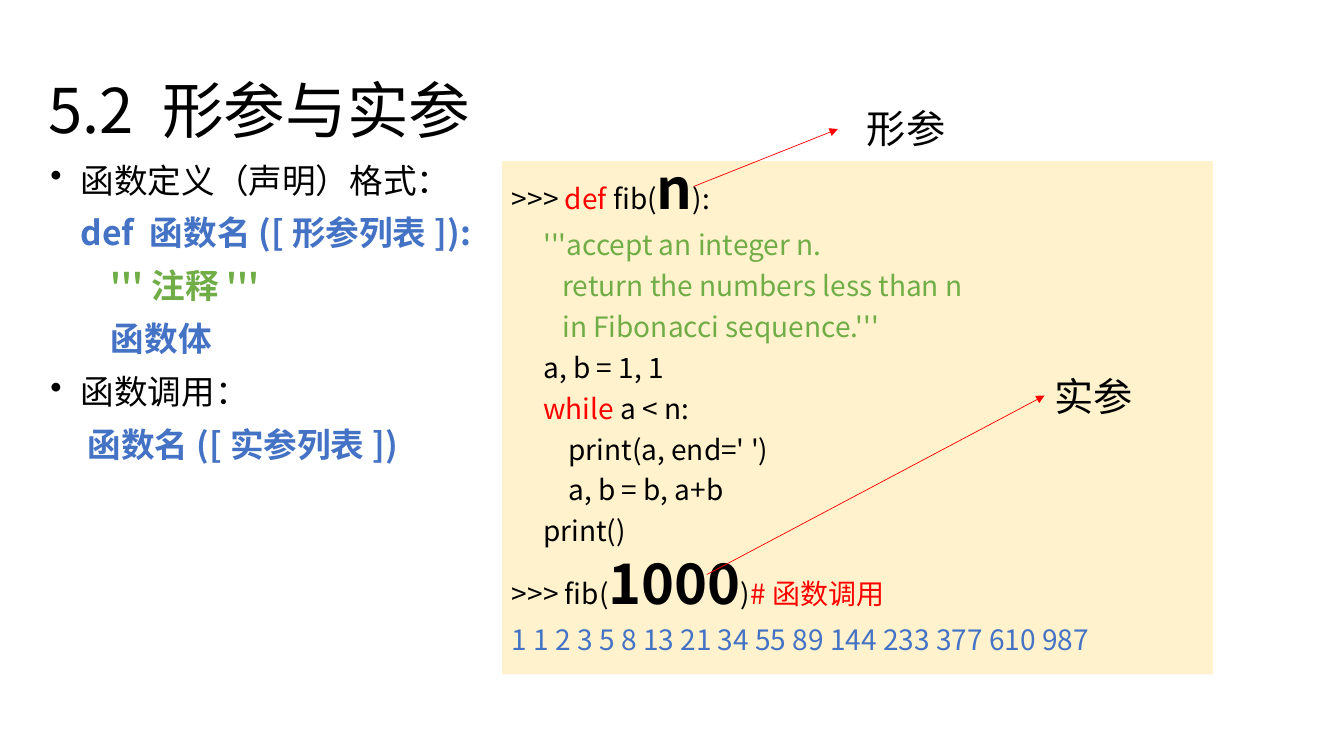
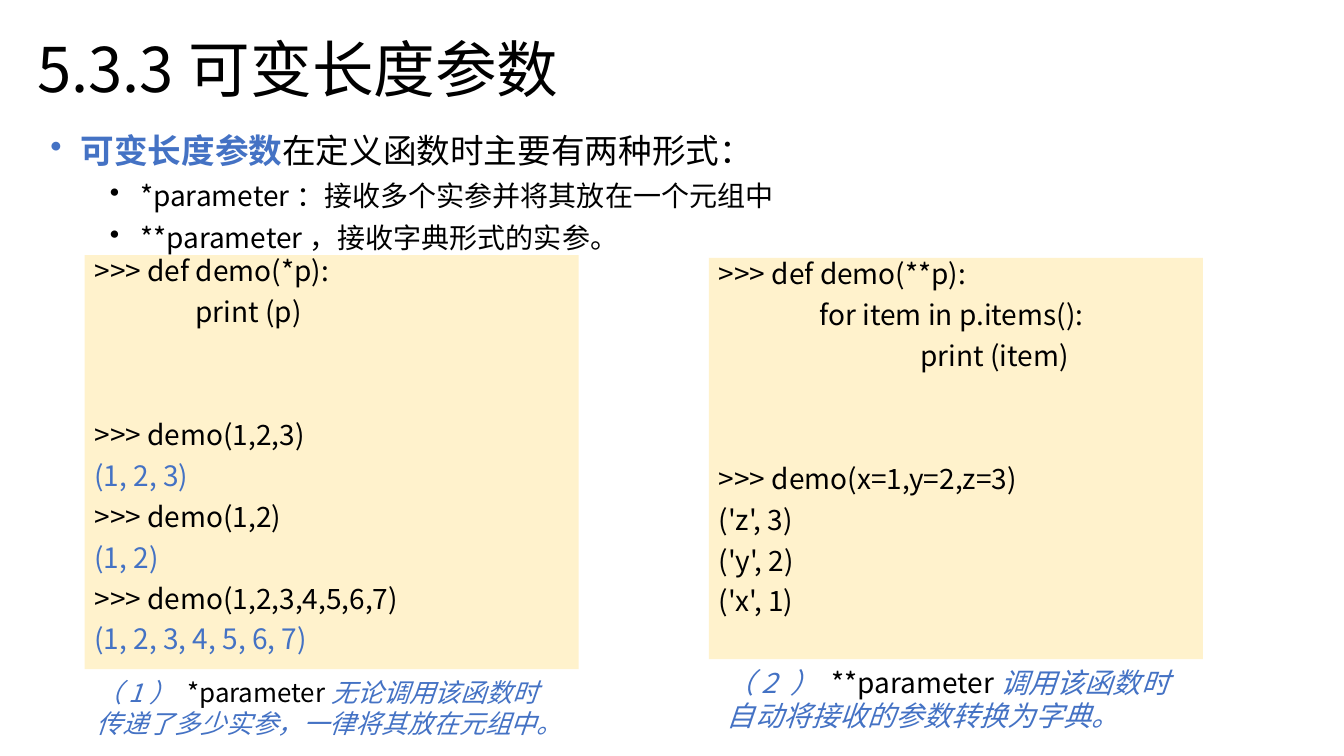
import pptx
import pptx.util
import pptx.dml.color
import pptx.enum.shapes
import pptx.enum.text
import pptx.oxml.ns
import lxml.etree

FONT = "Noto Sans CJK SC"
BLACK, RED, GREEN, BLUE, CREAM = "000000", "FF0000", "70AD47", "4472C4", "FFF2CC"
Inches, Pt = pptx.util.Inches, pptx.util.Pt
TOP = pptx.enum.text.MSO_ANCHOR.TOP
MIDDLE = pptx.enum.text.MSO_ANCHOR.MIDDLE

presentation = pptx.Presentation()
presentation.slide_width = Inches(13.33)
presentation.slide_height = Inches(7.5)
ACROSS = presentation.slide_width / 100
DOWN = presentation.slide_height / 100

wide_margins = {
    "word_wrap": True, "vertical_anchor": TOP,
    "margin_left": Inches(0.12), "margin_right": Inches(0.12),
    "margin_top": Inches(0.06), "margin_bottom": Inches(0.06),
}
KINDS = {
    "title": {
        "frame": {"word_wrap": True, "vertical_anchor": MIDDLE},
        "paragraph": {"line_spacing": 0.9},
        "font": {"size": Pt(44)},
    },
    "list": {
        "frame": wide_margins,
        "paragraph": {"space_before": Pt(11.9)},
        "font": {"size": Pt(24)},
    },
    "code": {
        "frame": {"word_wrap": True, "vertical_anchor": TOP},
        "paragraph": {"line_spacing": 0.8, "space_before": Pt(10),
                      "alignment": pptx.enum.text.PP_ALIGN.LEFT},
        "font": {"size": Pt(20)},
    },
    "caption": {
        "frame": wide_margins,
        "paragraph": {"space_before": Pt(11.9)},
        "font": {"size": Pt(20)},
    },
    "label": {
        "frame": {"word_wrap": False},
        "paragraph": {},
        "font": {"size": Pt(28)},
    },
}
RUNS = {
    "plain": (BLACK, {}),
    "keyword": (RED, {}),
    "comment": (GREEN, {}),
    "output": (BLUE, {}),
    "syntax": (BLUE, {"bold": True}),
    "remark": (GREEN, {"bold": True}),
    "argument": (BLACK, {"size": Pt(40), "bold": True}),
    "note": (BLUE, {"italic": True}),
    "small note": (BLUE, {"italic": True, "size": Pt(18.5)}),
    "small": (BLACK, {"size": Pt(18.5)}),
    "item": (BLACK, {"size": Pt(20)}),
}


def color(value):
    return pptx.dml.color.RGBColor.from_string(value)


def add_text(slide, kind, shares, paragraphs):
    left, top, width, height = shares
    box = [int(length) for length in
           (left * ACROSS, top * DOWN, width * ACROSS, height * DOWN)]
    if kind == "code":
        shape = slide.shapes.add_shape(pptx.enum.shapes.MSO_SHAPE.RECTANGLE, *box)
        shape.shadow.inherit = False
        shape.fill.solid()
        shape.fill.fore_color.rgb = color(CREAM)
        shape.line.fill.background()
    else:
        shape = slide.shapes.add_textbox(*box)
    frame = shape.text_frame
    for name, value in KINDS[kind]["frame"].items():
        setattr(frame, name, value)
    for index, (layout, runs) in enumerate(paragraphs):
        paragraph = frame.add_paragraph() if index else frame.paragraphs[0]
        settings = {**KINDS[kind]["paragraph"], **layout.get("format", {})}
        for name, value in settings.items():
            setattr(paragraph, name, value)
        properties = paragraph._p.get_or_add_pPr()
        properties.set("marL", str(Inches(layout.get("indent", 0))))
        properties.set("indent", "0")
        if layout.get("bullet"):
            properties.set("indent", str(-Inches(0.3)))
            bullet = lxml.etree.SubElement(properties, pptx.oxml.ns.qn("a:buChar"))
            bullet.set("char", "•")
        for text, style in runs:
            run = paragraph.add_run()
            run.text = text
            run_color, font_format = RUNS[style]
            settings = {"name": FONT, **KINDS[kind]["font"], **font_format}
            for name, value in settings.items():
                setattr(run.font, name, value)
            run.font.color.rgb = color(run_color)
            east_asian = lxml.etree.SubElement(
                run.font._element, pptx.oxml.ns.qn("a:ea"))
            east_asian.set("typeface", FONT)
    return shape


tight = {"line_spacing": 0.8}
normal = {"line_spacing": 0.9}
after_gap = {"format": {"space_before": Pt(68.6)}}
sub_item = {"bullet": True, "indent": 0.89,
            "format": {"level": 1, "space_before": Pt(6)}}
BODY, NESTED = 0.31, 0.56

contents = [
    [
        ("title", (2.85, 5.33, 86.27, 19.33), [({}, [("5.2 形参与实参", "plain")])]),
        ("list", (2.85, 21.33, 36.9, 78.67), [
            ({"bullet": True, "indent": 0.3, "format": tight},
             [("函数定义（声明）格式：", "plain")]),
            ({"indent": 0.3, "format": normal}, [("def 函数名([形参列表]):", "syntax")]),
            ({"indent": 0.6, "format": normal}, [("'''注释'''", "remark")]),
            ({"indent": 0.6, "format": normal}, [("函数体", "syntax")]),
            ({"bullet": True, "indent": 0.3, "format": normal},
             [("函数调用：", "plain")]),
            ({"indent": 0.37, "format": normal}, [("函数名([实参列表])", "syntax")]),
        ]),
        ("code", (37.36, 21.33, 52.89, 67.87), [
            ({}, [(">>> ", "plain"), ("def", "keyword"), (" fib(", "plain"),
                  ("n", "argument"), ("):", "plain")]),
            ({"indent": BODY}, [("'''accept an integer n.", "comment")]),
            ({"indent": 0.5}, [("return the numbers less than n", "comment")]),
            ({"indent": 0.5}, [("in Fibonacci sequence.'''", "comment")]),
            ({"indent": BODY}, [("a, b = 1, 1", "plain")]),
            ({"indent": BODY}, [("while ", "keyword"), ("a < n:", "plain")]),
            ({"indent": NESTED}, [("print(a, end=' ')", "plain")]),
            ({"indent": NESTED}, [("a, b = b, a+b", "plain")]),
            ({"indent": BODY}, [("print()", "plain")]),
            ({}, [(">>> fib(", "plain"), ("1000", "argument"), (")", "plain"),
                  ("#函数调用", "keyword")]),
            ({}, [("1 1 2 3 5 8 13 21 34 55 89 144 233 377 610 987", "output")]),
        ]),
    ],
    [
        ("title", (2.03, 0, 86.27, 19.33), [({}, [("5.3.3可变长度参数", "plain")])]),
        ("list", (2.85, 16.4, 86.27, 22.53), [
            ({"bullet": True, "indent": 0.3},
             [("可变长度参数", "syntax"), ("在定义函数时主要有两种形式：", "plain")]),
            (sub_item, [("*parameter：接收多个实参并将其放在一个元组中", "item")]),
            (sub_item, [("**parameter，接收字典形式的实参。", "item")]),
        ]),
        ("code", (6.3, 33.73, 36.76, 54.8), [
            ({}, [(">>> def demo(*p):", "plain")]),
            ({"indent": 1}, [("print (p)", "plain")]),
            (after_gap, [(">>> demo(1,2,3)", "plain")]),
            ({}, [("(1, 2, 3)", "output")]),
            ({}, [(">>> demo(1,2)", "plain")]),
            ({}, [("(1, 2)", "output")]),
            ({}, [(">>> demo(1,2,3,4,5,6,7)", "plain")]),
            ({}, [("(1, 2, 3, 4, 5, 6, 7)", "output")]),
        ]),
        ("caption", (6.3, 88.67, 35.93, 11.33), [
            ({}, [("（1）", "small note"), (" *parameter", "small"),
                  ("无论调用该函数时传递了多少实参，一律将其放在元组中。", "small note")]),
        ]),
        ("code", (52.74, 34.13, 36.76, 53.07), [
            ({}, [(">>> def demo(**p):", "plain")]),
            ({"indent": 1}, [("for item in p.items():", "plain")]),
            ({"indent": 2}, [("print (item)", "plain")]),
            (after_gap, [(">>> demo(x=1,y=2,z=3)", "plain")]),
            ({}, [("('z', 3)", "plain")]),
            ({}, [("('y', 2)", "plain")]),
            ({}, [("('x', 1)", "plain")]),
        ]),
        ("caption", (53.19, 87.2, 35.93, 12.13), [
            ({}, [("（2 ） ", "note"), ("**parameter", "plain"),
                  ("调用该函数时自动将接收的参数转换为字典。", "note")]),
        ]),
    ],
]

slides = []
for parts in contents:
    slide = presentation.slides.add_slide(presentation.slide_layouts[6])
    slides.append(slide)
    for kind, shares, paragraphs in parts:
        add_text(slide, kind, shares, paragraphs)

callouts = [
    ("形参", (63.77, 13.2), (51.61, 24.67), (62.34, 17.07), False),
    ("实参", (77.72, 48.53), (52.59, 76), (77.72, 52.33), True),
]
for text, corner, start, end, joined in callouts:
    label = add_text(slides[0], "label", (*corner, 7.43, 7.6), [({}, [(text, "plain")])])
    arrow = slides[0].shapes.add_connector(
        pptx.enum.shapes.MSO_CONNECTOR.STRAIGHT,
        int(start[0] * ACROSS), int(start[1] * DOWN),
        int(end[0] * ACROSS), int(end[1] * DOWN))
    if joined:
        arrow.end_connect(label, 1)
    arrow.line.color.rgb = color(RED)
    arrow.line.width = Pt(0.5)
    tail = lxml.etree.SubElement(arrow.line._get_or_add_ln(), pptx.oxml.ns.qn("a:tailEnd"))
    tail.set("type", "triangle")
    lxml.etree.SubElement(arrow._element.spPr, pptx.oxml.ns.qn("a:effectLst"))

presentation.save("out.pptx")
